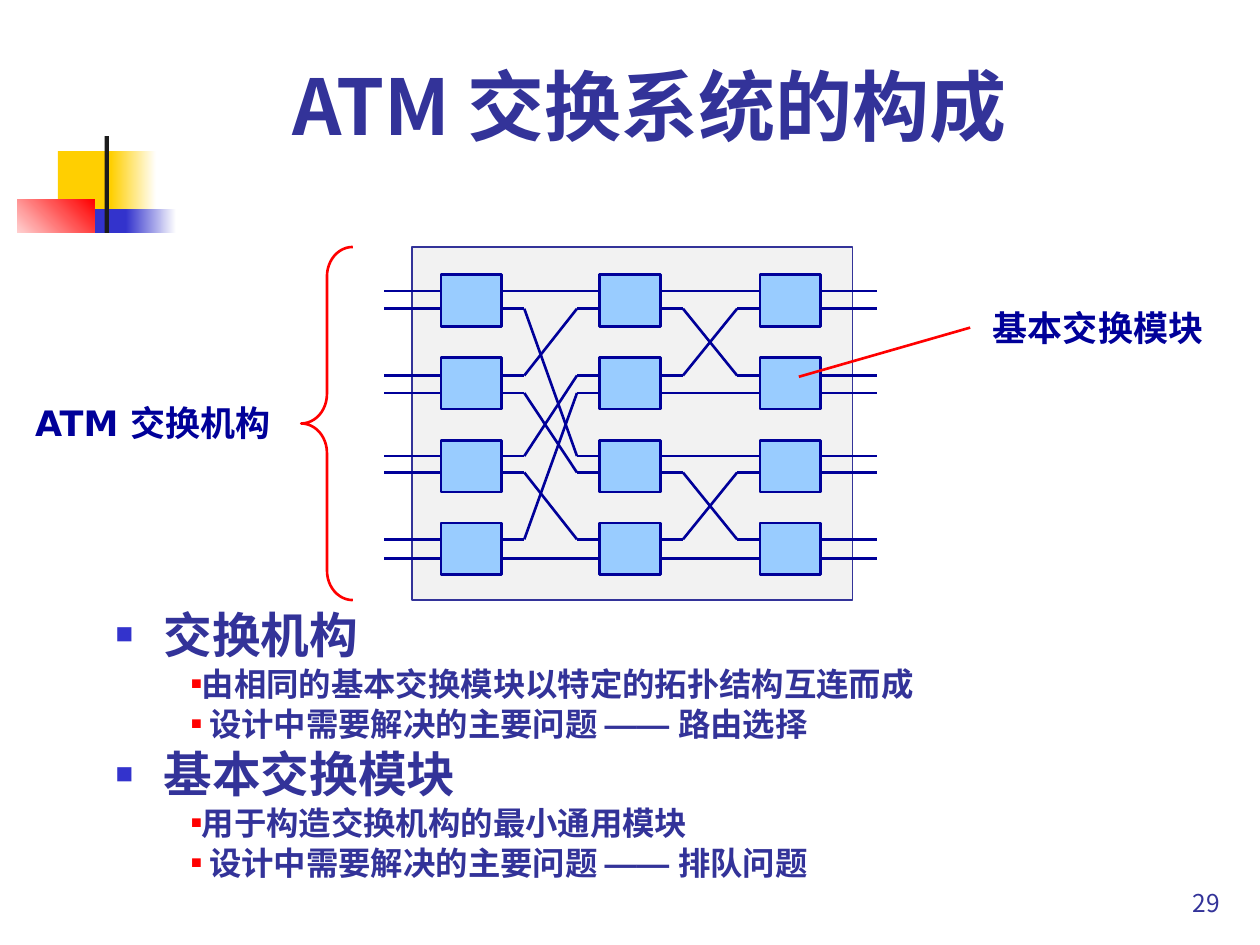
from dataclasses import dataclass

from lxml import etree
from pptx import Presentation
from pptx.dml.color import RGBColor
from pptx.enum import shapes, text
from pptx.oxml.ns import qn
from pptx.util import Pt

WHITE = RGBColor(0xFF, 0xFF, 0xFF)
YELLOW = RGBColor(0xFF, 0xCF, 0x01)
BLUE = RGBColor(0x33, 0x33, 0xCC)
RED = RGBColor(0xFF, 0x00, 0x00)
BLACK = RGBColor(0x1C, 0x1C, 0x1C)
INDIGO = RGBColor(0x33, 0x33, 0x99)
NAVY = RGBColor(0x00, 0x00, 0x99)
SKY = RGBColor(0x99, 0xCC, 0xFF)
GREY = RGBColor(0xF2, 0xF2, 0xF2)

CJK = "Noto Sans CJK JP"
LABEL_FONT = "DejaVu Sans"
DASH = "—— "

# Switch fabric: four modules per stage, two ports per module
MODULE_W, MODULE_H = 34.6, 29.5
STAGE_LEFTS = [252, 342.7, 434.2]
MODULE_TOP, MODULE_PITCH = 157, 47.3
PORTS = [166.3, 176.4, 214.6, 224.6, 260.6, 270, 308.2, 319]
LEAD, STUB = 32.4, 13
STAGE_LINKS = [[0, 4, 1, 5, 2, 6, 3, 7], [0, 2, 1, 3, 4, 6, 5, 7]]


@dataclass(frozen=True)
class Box:
    left: float
    top: float
    width: float
    height: float

    def lengths(self):
        return [Pt(v) for v in (self.left, self.top, self.width, self.height)]


@dataclass(frozen=True)
class Block:
    box: Box
    start: RGBColor
    end: RGBColor | None = None
    angle: float = 0


@dataclass(frozen=True)
class Level:
    size: float
    margin: float
    indent: float
    before: float
    bullet_color: RGBColor
    bullet_percent: int


HEAD = Level(27.8, 27.4, -27.4, 7.5, BLUE, 60)
POINT = Level(18.5, 41.8, 1.4, 5, RED, 55)

ORNAMENT = [
    Block(Box(33.1, 86.4, 34.6, 37.4), YELLOW),
    Block(Box(63.4, 86.4, 25.9, 37.4), YELLOW, WHITE),
    Block(Box(42.5, 119.5, 33.1, 37.4), BLUE),
    Block(Box(72, 119.5, 28.8, 37.4), BLUE, WHITE),
    Block(Box(10, 113.8, 44, 33.1), WHITE, RED, 45),
    Block(Box(59.8, 77.8, 2.4, 82.8), BLACK),
]

BODY = [
    (HEAD, ["交换机构"]),
    (POINT, ["由相同的基本交换模块以特定的拓扑结构互连而成"]),
    (POINT, [" 设计中需要解决的主要问题 ", DASH, "路由选择"]),
    (HEAD, ["基本交换模块"]),
    (POINT, ["用于构造交换机构的最小通用模块"]),
    (POINT, [" 设计中需要解决的主要问题 ", DASH, "排队问题"]),
]


def add_span(para, words: str, east_asian: str = CJK, **formats):
    span = para.add_run()
    span.text = words
    color = formats.pop("color")
    for name, value in formats.items():
        setattr(span.font, name, value)
    span.font.color.rgb = color
    ea = etree.SubElement(span.font._element, qn("a:ea"))
    ea.set("typeface", east_asian)


def add_block(page, box: Box, fill: RGBColor | None, line: RGBColor | None = None,
              weight: float = 1.5, kind=shapes.MSO_SHAPE.RECTANGLE):
    shape = page.shapes.add_shape(kind, *box.lengths())
    shape.shadow.inherit = False
    if fill is None:
        shape.fill.background()
    else:
        shape.fill.solid()
        shape.fill.fore_color.rgb = fill
    if line is None:
        shape.line.fill.background()
    else:
        shape.line.color.rgb = line
        shape.line.width = Pt(weight)
    return shape


def add_ornament(page):
    for block in ORNAMENT:
        shape = add_block(page, block.box, block.start)
        if block.end is not None:
            shape.fill.gradient()
            shape.fill.gradient_angle = block.angle
            for stop, color in zip(shape.fill.gradient_stops, (block.start, block.end)):
                stop.color.rgb = color


def add_line(page, x1: float, y1: float, x2: float, y2: float, color: RGBColor = NAVY):
    line = page.shapes.add_connector(
        shapes.MSO_CONNECTOR.STRAIGHT, Pt(x1), Pt(y1), Pt(x2), Pt(y2))
    line.line.color.rgb = color
    line.line.width = Pt(1.5)
    etree.SubElement(line._element.spPr, qn("a:effectLst"))


def add_label(page, box: Box, words: str):
    frame = add_block(page, box, WHITE).text_frame
    frame.word_wrap = False
    frame.vertical_anchor = text.MSO_ANCHOR.MIDDLE
    para = frame.paragraphs[0]
    para.alignment = text.PP_ALIGN.CENTER
    add_span(para, words, name=LABEL_FONT, size=Pt(20), bold=True, color=NAVY)


def add_fabric(page):
    add_block(page, Box(235.4, 141.1, 252, 201.8), GREY, INDIGO, 0.75)
    for left in STAGE_LEFTS:
        for row in range(4):
            top = MODULE_TOP + row * MODULE_PITCH
            add_block(page, Box(left, top, MODULE_W, MODULE_H), SKY, NAVY)

    first, last = STAGE_LEFTS[0], STAGE_LEFTS[-1] + MODULE_W
    for y in PORTS:
        add_line(page, first - LEAD, y, first, y)
        add_line(page, last, y, last + LEAD, y)

    for left, right, links in zip(STAGE_LEFTS, STAGE_LEFTS[1:], STAGE_LINKS):
        start = left + MODULE_W
        for source, target in enumerate(links):
            y1, y2 = PORTS[source], PORTS[target]
            if source in (0, 7):
                add_line(page, start, y1, right, y2)
                continue
            add_line(page, start, y1, start + STUB, y1)
            add_line(page, start + STUB, y1, right - STUB, y2)
            add_line(page, right - STUB, y2, right, y2)


def add_bullet(para, level: Level):
    props = para._p.get_or_add_pPr()
    props.set("marL", str(Pt(level.margin)))
    props.set("indent", str(Pt(level.indent)))
    color = etree.SubElement(props, qn("a:buClr"))
    etree.SubElement(color, qn("a:srgbClr")).set("val", str(level.bullet_color))
    for tag, name, value in (("a:buSzPct", "val", str(level.bullet_percent * 1000)),
                             ("a:buFont", "typeface", "Arial"),
                             ("a:buChar", "char", "■")):
        etree.SubElement(props, qn(tag)).set(name, value)


def add_body(page):
    frame = page.shapes.add_textbox(*Box(59, 348.5, 612, 165.6).lengths()).text_frame
    frame.word_wrap = True
    for index, (level, parts) in enumerate(BODY):
        para = frame.add_paragraph() if index else frame.paragraphs[0]
        add_bullet(para, level)
        para.line_spacing = 0.8
        para.space_before = Pt(level.before if index else 0)
        for words in parts:
            font = "Arial" if words == DASH else CJK
            add_span(para, words, font, name=font, size=Pt(level.size),
                     bold=True, color=INDIGO)


def set_title(page, words: str):
    title = page.shapes.title
    names = ("left", "top", "width", "height")
    for name, value in zip(names, Box(64.8, -25.2, 613.4, 115.2).lengths()):
        setattr(title, name, value)
    title.text_frame.vertical_anchor = text.MSO_ANCHOR.BOTTOM
    para = title.text_frame.paragraphs[0]
    para.alignment = text.PP_ALIGN.CENTER
    add_span(para, words, name=CJK, size=Pt(44), bold=True, color=INDIGO)


def add_page_number(page, number: str):
    frame = page.shapes.add_textbox(*Box(554.4, 491.8, 149.8, 36).lengths()).text_frame
    frame.word_wrap = True
    frame.vertical_anchor = text.MSO_ANCHOR.BOTTOM
    para = frame.paragraphs[0]
    para.alignment = text.PP_ALIGN.RIGHT
    add_span(para, number, name=CJK, size=Pt(14), color=INDIGO)


def main():
    deck = Presentation()
    deck.slide_width, deck.slide_height = Pt(720), Pt(540)
    page = deck.slides.add_slide(deck.slide_layouts[5])
    add_ornament(page)
    add_page_number(page, "29")
    set_title(page, "ATM 交换系统的构成")
    add_block(page, Box(0, 133.2, 720, 222.5), WHITE)
    add_label(page, Box(10.8, 223.2, 153.4, 36), "ATM 交换机构")
    add_fabric(page)
    brace = add_block(page, Box(172.1, 141.1, 29.5, 201.8), None, RED,
                      kind=shapes.MSO_SHAPE.LEFT_BRACE)
    brace.adjustments[0] = 0.57
    add_label(page, Box(550.8, 169.2, 153.4, 36), "基本交换模块")
    add_line(page, 456.5, 215.3, 554.4, 187.2, RED)
    add_body(page)
    deck.save("out.pptx")


if __name__ == "__main__":
    main()
